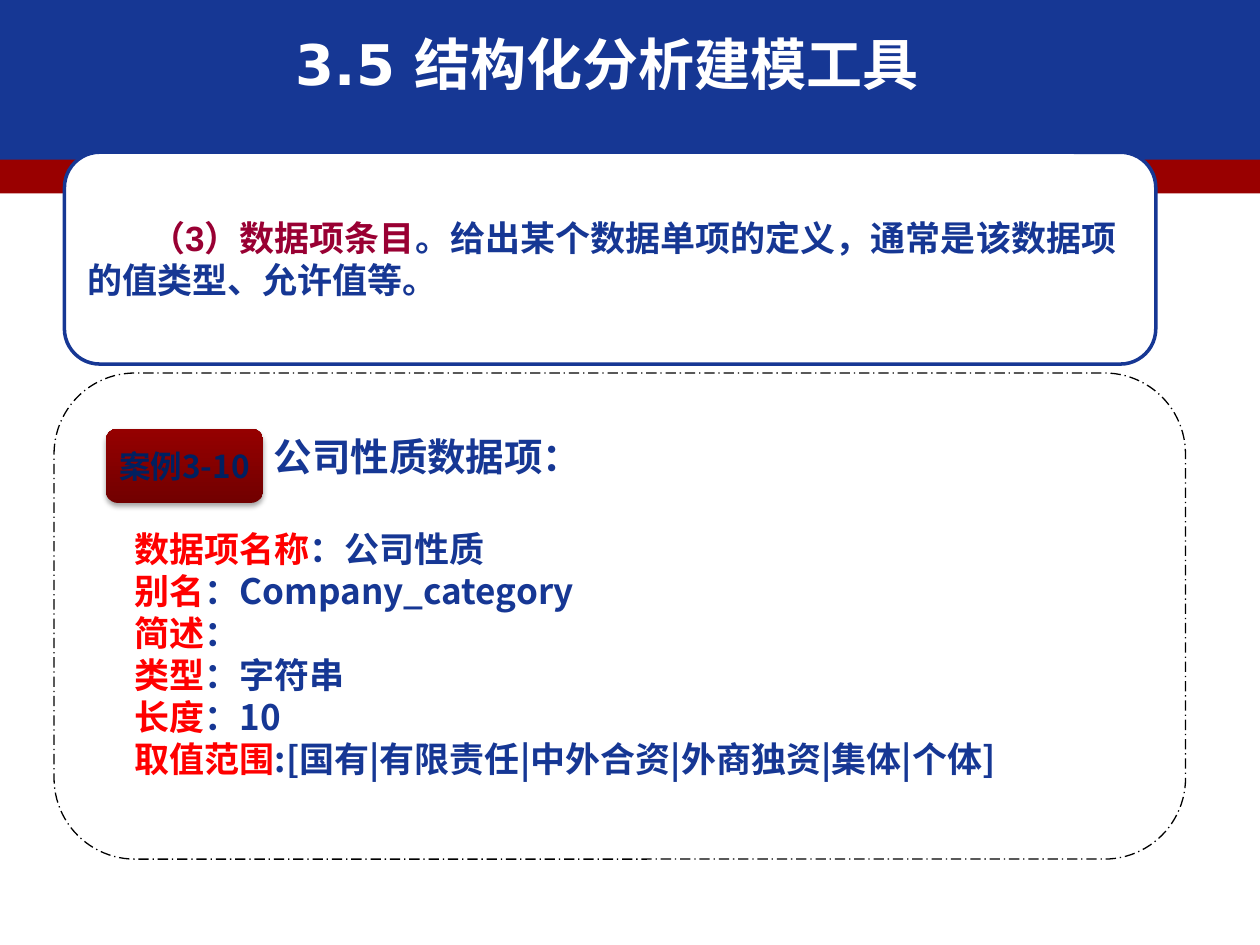
from lxml import etree
from pptx import Presentation
from pptx.dml.color import RGBColor as RGB
from pptx.enum.dml import MSO_LINE as Dash
from pptx.enum.shapes import MSO_SHAPE as Kind
from pptx.enum.text import MSO_ANCHOR as Anchor, PP_ALIGN as Align
from pptx.oxml import parse_xml
from pptx.oxml.ns import nsdecls, qn
from pptx.util import Cm, Pt

BLUE = RGB(0x16, 0x37, 0x94)
BAND = RGB(0x99, 0x00, 0x00)
WINE = RGB(0x99, 0x00, 0x33)
RED = RGB(0xFF, 0x00, 0x00)
NAVY = RGB(0x00, 0x20, 0x60)
DARK = RGB(0x72, 0x00, 0x00)
LIGHT = RGB(0x95, 0x00, 0x00)
WHITE = RGB(0xFF, 0xFF, 0xFF)
BLACK = RGB(0x00, 0x00, 0x00)
CJK = "Noto Sans CJK SC"

ITEMS = [
    ("数据项名称", "：公司性质"),
    ("别名", "：Company_category"),
    ("简述", "："),
    ("类型", "：字符串"),
    ("长度", "：10"),
    ("取值范围", ":[国有|有限责任|中外合资|外商独资|集体|个体]"),
]


def add_run(para, text, size, color, face=CJK):
    run = para.add_run()
    run.text = text
    font = run.font
    font.size, font.bold, font.name = Pt(size), True, face
    font.color.rgb = color
    east = etree.SubElement(run._r.get_or_add_rPr(), qn("a:ea"))
    east.set("typeface", CJK)


def set_indent(para, first):
    props = para._p.get_or_add_pPr()
    props.set("marL", "0")
    props.set("indent", str(Cm(first)))


def add_shape(slide, kind, box, fill=None, line=None, width=1):
    shape = slide.shapes.add_shape(kind, *map(Cm, box))
    shape.shadow.inherit = False
    if fill is None:
        shape.fill.background()
    else:
        shape.fill.solid()
        shape.fill.fore_color.rgb = fill
    if line is None:
        shape.line.fill.background()
    else:
        shape.line.color.rgb = line
        shape.line.width = Pt(width)
    return shape


def add_text(slide, box, anchor):
    frame = slide.shapes.add_textbox(*map(Cm, box)).text_frame
    frame.word_wrap = True
    frame.vertical_anchor = anchor
    return frame


def add_title(slide):
    frame = add_text(slide, (0.9, 0.53, 22.7, 1.47), Anchor.MIDDLE)
    para = frame.paragraphs[0]
    para.alignment = Align.CENTER
    add_run(para, "3.5 结构化分析建模工具", 32, WHITE, "DejaVu Sans")


def add_intro(slide):
    box = (1.3, 3.07, 22, 4.27)
    shape = add_shape(slide, Kind.ROUNDED_RECTANGLE, box, WHITE, BLUE, 2)
    frame = shape.text_frame
    frame.word_wrap = True
    frame.vertical_anchor = Anchor.MIDDLE
    para = frame.paragraphs[0]
    para.alignment = Align.LEFT
    set_indent(para, 1.27)
    add_run(para, "（3）数据项条目", 20, WINE, "Arial")
    add_run(para, "。给出某个数据单项的定义，通常是该数据项的值类型、允许值等。",
            20, BLUE, "Arial")


def add_items(slide):
    frame = add_text(slide, (1.7, 8.61, 21.59, 8.03), Anchor.TOP)
    head = frame.paragraphs[0]
    head.line_spacing = Pt(26)
    set_indent(head, 3.57)
    add_run(head, "公司性质数据项：", 22, BLUE, "Times New Roman")
    for pos, (label, value) in enumerate(ITEMS):
        para = frame.add_paragraph()
        para.line_spacing = Pt(24)
        para.space_before = Pt(0 if pos else 28)
        set_indent(para, 0.76)
        add_run(para, label, 20, RED)
        add_run(para, value, 20, BLUE)


def add_badge(slide):
    box = (2.13, 8.64, 3.18, 1.5)
    shape = add_shape(slide, Kind.ROUNDED_RECTANGLE, box, LIGHT)
    shape.fill.gradient()
    shape.fill.gradient_angle = 90
    for stop, color in zip(shape.fill.gradient_stops, (DARK, LIGHT)):
        stop.color.rgb = color
    glow = shape._element.spPr.find(qn("a:effectLst"))
    glow.append(parse_xml(
        f'<a:outerShdw {nsdecls("a")} blurRad="{Pt(3.1)}" dist="{Pt(1.8)}" '
        'dir="5400000" rotWithShape="0"><a:srgbClr val="000000">'
        '<a:alpha val="35000"/></a:srgbClr></a:outerShdw>'))
    frame = shape.text_frame
    frame.word_wrap = False
    frame.vertical_anchor = Anchor.MIDDLE
    para = frame.paragraphs[0]
    para.alignment = Align.CENTER
    add_run(para, "案例3-10", 18, NAVY)


def main():
    deck = Presentation()
    deck.slide_width, deck.slide_height = Cm(25.4), Cm(19.05)
    slide = deck.slides.add_slide(deck.slide_layouts[6])
    add_shape(slide, Kind.RECTANGLE, (0, 0, 25.4, 3.28), BLUE)
    add_shape(slide, Kind.RECTANGLE, (0, 3.22, 25.4, 0.68), BAND)
    add_intro(slide)
    add_title(slide)
    add_items(slide)
    add_badge(slide)
    border = add_shape(slide, Kind.FLOWCHART_ALTERNATE_PROCESS,
                       (1.09, 7.52, 22.81, 9.8), None, BLACK, 0.75)
    border.line.dash_style = Dash.LONG_DASH_DOT
    deck.save("out.pptx")


if __name__ == "__main__":
    main()
